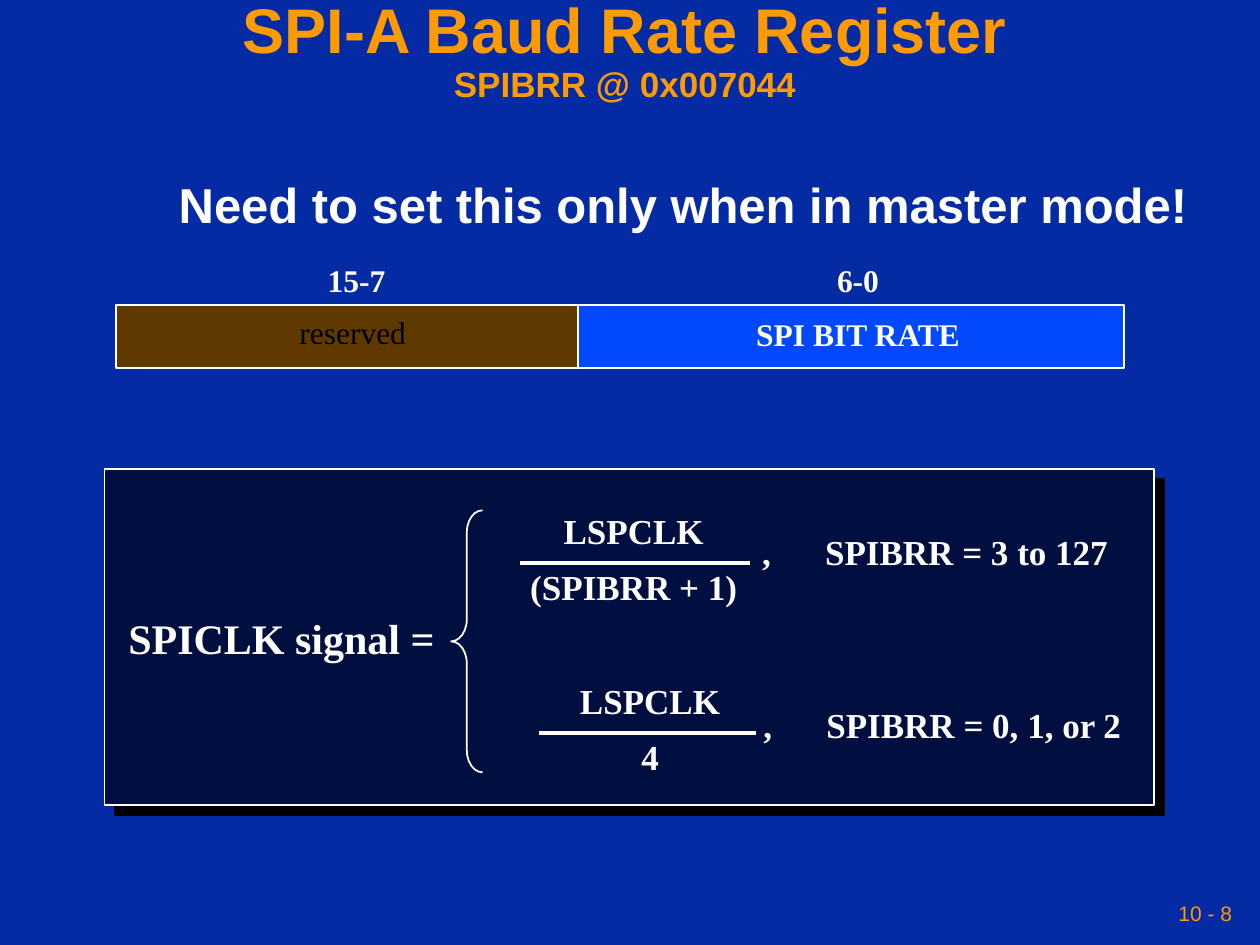
from lxml.etree import SubElement as Sub
from pptx import Presentation
from pptx.dml.color import RGBColor
from pptx.enum.shapes import MSO_CONNECTOR as Conn, MSO_SHAPE as Kind
from pptx.enum.text import MSO_ANCHOR as Anchor, MSO_AUTO_SIZE as Fit, PP_ALIGN as Align
from pptx.oxml.ns import qn
from pptx.util import Inches, Pt

NAVY = RGBColor(0x04, 0x2A, 0xA4)
DARK = RGBColor(0x00, 0x0F, 0x40)
BROWN = RGBColor(0x60, 0x39, 0x00)
BLUE = RGBColor(0x02, 0x49, 0xFC)
GOLD = RGBColor(0xFE, 0x9B, 0x03)
WHITE = RGBColor(0xFF, 0xFF, 0xFF)
BLACK = RGBColor(0, 0, 0)

TITLE = [("SPI-A Baud Rate Register", 36), ("SPIBRR @ 0x007044", 20)]
PAGE = "10 - 8"
NOTE = "Need to set this only when in master mode!"
FIELDS = [
    {"bits": "15-7", "bits_at": (2.43, 2.08, 0.8, 0.34), "width": 3.67, "fill": BROWN,
     "name": "reserved", "name_at": (2.2, 2.49, 1.2, 0.34), "color": BLACK, "bold": False},
    {"bits": "6-0", "bits_at": (6.41, 2.08, 0.8, 0.34), "width": 4.33, "fill": BLUE,
     "name": "SPI BIT RATE", "name_at": (5.81, 2.51, 2, 0.34), "color": WHITE, "bold": True},
]
SIGNAL = "SPICLK signal ="
CASES = [
    {"parts": ["LSPCLK", "(SPIBRR + 1)"], "at": (4.03, 4.06, 2, 0.81), "bar": (4.13, 5.95),
     "when": ",\tSPIBRR = 3 to 127", "when_at": (5.95, 4.22, 3.2, 0.37)},
    {"parts": ["LSPCLK", "4"], "at": (4.16, 5.41, 2, 0.81), "bar": (4.28, 6),
     "when": ",\tSPIBRR = 0, 1, or 2", "when_at": (5.96, 5.6, 3.2, 0.37)},
]

ROMAN = {"name": "Times New Roman", "size": Pt(18), "bold": True}
MATH = {**ROMAN, "size": Pt(20)}
HEAD = {"name": "Arial", "bold": True}


def style(font, form, color):
    for key, val in form.items():
        setattr(font, key, val)
    font.color.rgb = color


def add_box(at, anchor=Anchor.MIDDLE, pad=0.1):
    frame = slide.shapes.add_textbox(*map(Inches, at)).text_frame
    form = {"word_wrap": True, "vertical_anchor": anchor, "auto_size": Fit.NONE,
            "margin_left": Inches(pad), "margin_right": Inches(pad),
            "margin_top": Inches(0.05), "margin_bottom": Inches(0.05)}
    for key, val in form.items():
        setattr(frame, key, val)
    return frame


def add_text(at, lines, form, color=WHITE, align=Align.CENTER, lead=0.8, gap=0, tab=None, **box):
    frame = add_box(at, **box)
    for i, line in enumerate(lines):
        para = frame.add_paragraph() if i else frame.paragraphs[0]
        if tab:
            stops = Sub(para._p.get_or_add_pPr(), qn("a:tabLst"))
            Sub(stops, qn("a:tab"), pos=str(Inches(tab)), algn="l")
        para.alignment = align
        para.line_spacing = lead
        if i:
            para.space_before = Pt(gap)
        run = para.add_run()
        run.text = line
        style(run.font, form, color)


def add_shape(kind, at, fill=None):
    shape = slide.shapes.add_shape(kind, *map(Inches, at))
    shape.shadow.inherit = False
    if fill is None:
        shape.fill.background()
    else:
        shape.fill.solid()
        shape.fill.fore_color.rgb = fill
    shape.line.color.rgb = WHITE
    shape.line.width = Pt(1)
    return shape


def add_bar(left, right, y):
    bar = slide.shapes.add_connector(Conn.STRAIGHT, *map(Inches, (left, y, right, y)))
    bar.line.color.rgb = WHITE
    bar.line.width = Pt(2.25)
    Sub(bar._element.spPr, qn("a:effectLst"))


def add_shadow(shape):
    effects = shape._element.spPr.find(qn("a:effectLst"))
    shade = Sub(effects, qn("a:outerShdw"), dist=str(Pt(8.5)), dir="2700000",
                algn="ctr", rotWithShape="0")
    Sub(shade, qn("a:srgbClr"), val=str(BLACK))


deck = Presentation()
deck.slide_width, deck.slide_height = Inches(10), Inches(7.5)
slide = deck.slides.add_slide(deck.slide_layouts[6])
slide.background.fill.solid()
slide.background.fill.fore_color.rgb = NAVY

para = add_box((0, 0, 9.92, 0.83), pad=0.05).paragraphs[0]
para.alignment = Align.CENTER
para.line_spacing = 0.9
for i, (text, size) in enumerate(TITLE):
    if i:
        para.add_line_break()
    run = para.add_run()
    run.text = text
    style(run.font, {**HEAD, "size": Pt(size)}, GOLD)

add_text((1.32, 1.42, 8.6, 0.48), [NOTE], {**HEAD, "size": Pt(28)}, align=Align.LEFT)

left = 0.92
for field in FIELDS:
    add_shape(Kind.RECTANGLE, (left, 2.42, field["width"], 0.5), field["fill"])
    left += field["width"]
    add_text(field["bits_at"], [field["bits"]], ROMAN, anchor=Anchor.TOP)
    add_text(field["name_at"], [field["name"]], {**ROMAN, "bold": field["bold"]}, field["color"])

add_shadow(add_shape(Kind.RECTANGLE, (0.83, 3.72, 8.33, 2.67), DARK))
add_text((0.92, 4.89, 2.8, 0.42), [SIGNAL], {**ROMAN, "size": Pt(24)}, align=Align.LEFT)
brace = add_shape(Kind.LEFT_BRACE, (3.58, 4.05, 0.25, 2.08))
brace.adjustments[0] = 0.7

for case in CASES:
    left, top, width, height = case["at"]
    add_text(case["at"], case["parts"], MATH, gap=12.5)
    add_bar(*case["bar"], top + height / 2)
    add_text(case["when_at"], [case["when"]], MATH, align=Align.LEFT, tab=0.5)

add_text((6.83, 7.08, 3, 0.33), [PAGE], {"name": "Arial", "size": Pt(12)}, GOLD,
         align=Align.RIGHT, lead=1, pad=0.05)

deck.save("out.pptx")
